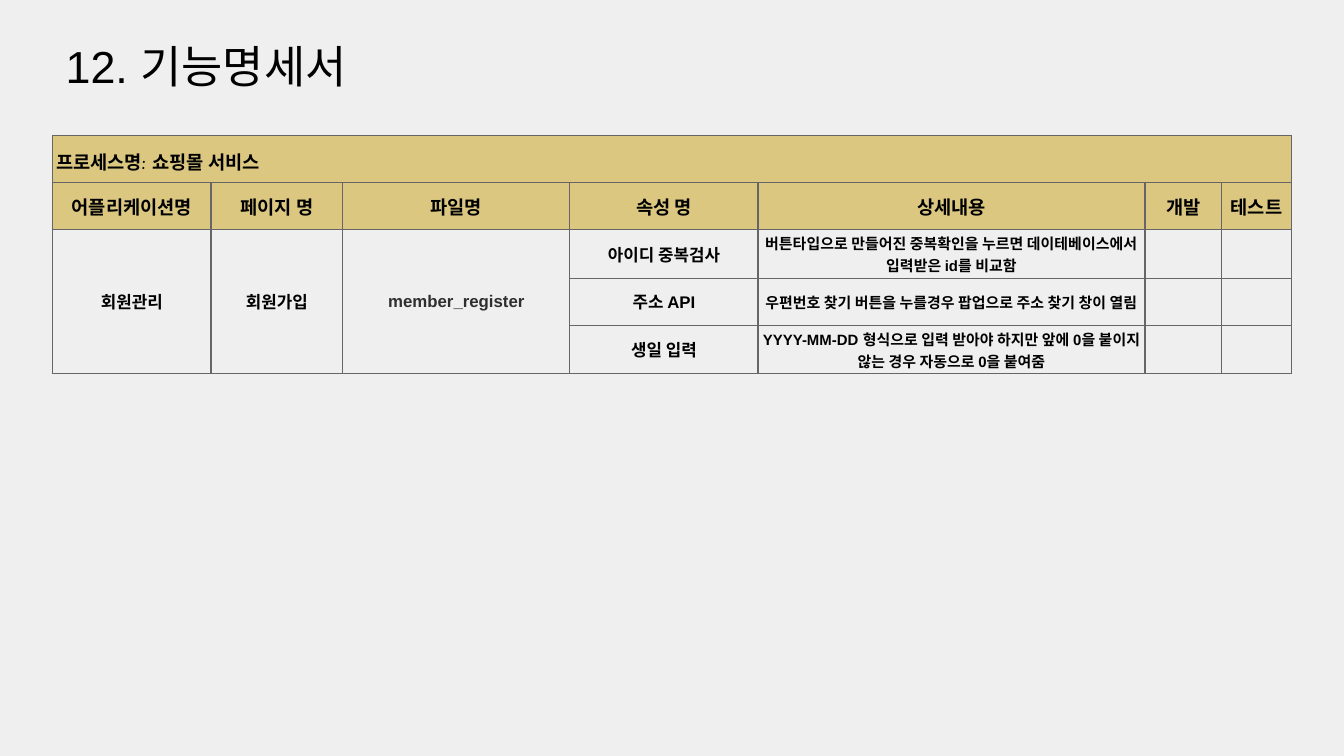
from lxml.etree import SubElement
from pptx import Presentation
from pptx.dml.color import RGBColor
from pptx.enum.text import MSO_ANCHOR, PP_ALIGN
from pptx.oxml.ns import qn
from pptx.util import Inches, Pt

# Content
TITLE = "12. 기능명세서"
BAND = "프로세스명: 쇼핑몰 서비스"
HEADS = ["어플리케이션명", "페이지 명", "파일명", "속성 명", "상세내용", "개발", "테스트"]
GROUP = ["회원관리", "회원가입", "member_register"]
ITEMS = [
    ("아이디 중복검사", "버튼타입으로 만들어진 중복확인을 누르면 데이테베이스에서 입력받은 id를 비교함"),
    ("주소 API", "우편번호 찾기 버튼을 누를경우 팝업으로 주소 찾기 창이 열림"),
    ("생일 입력", "YYYY-MM-DD 형식으로 입력 받아야 하지만 앞에 0을 붙이지 않는 경우 자동으로 0을 붙여줌"),
]

# Look
COLORS = {"page": "EFEFEF", "text": "000000", "file": "2F2F2F",
          "head": "D1B347", "line": "666666"}
WIDTHS = [1.18, 0.98, 1.69, 1.4, 2.88, 0.57, 0.52]
HEIGHTS = [0.35, 0.35, 0.36, 0.35, 0.36]
LEFT, TOP = 0.39, 1.01
DETAIL = HEADS.index("상세내용")
FILE = HEADS.index("파일명")


def color(name):
    return RGBColor.from_string(COLORS[name])


def style(para, size, face, tone="text", bold=True):
    font = para.font
    font.size, font.name, font.bold = Pt(size), face, bold
    font.color.rgb = color(tone)


def border(cell):
    props = cell._tc.get_or_add_tcPr()
    for side in ("lnL", "lnR", "lnT", "lnB"):
        line = SubElement(props, qn(f"a:{side}"), w=str(Pt(0.75)))
        fill = SubElement(line, qn("a:solidFill"))
        SubElement(fill, qn("a:srgbClr"), val=COLORS["line"])


def paint(cell, head):
    if not head:
        cell.fill.background()
        return
    cell.fill.solid()
    cell.fill.fore_color.rgb = color("head")
    tint = cell._tc.tcPr.find(f"{qn('a:solidFill')}/{qn('a:srgbClr')}")
    SubElement(tint, qn("a:alpha"), val="66000")


# Slide, 16:9
deck = Presentation()
deck.slide_width = Inches(10)
deck.slide_height = deck.slide_width * 9 // 16
slide = deck.slides.add_slide(deck.slide_layouts[6])
slide.background.fill.solid()
slide.background.fill.fore_color.rgb = color("page")

# Title
box = slide.shapes.add_textbox(Inches(LEFT), Inches(0.19), Inches(4.39), Inches(0.59))
frame = box.text_frame
frame.word_wrap = True
frame.margin_left = frame.margin_right = Inches(0.1)
frame.margin_top = frame.margin_bottom = Inches(0.1)
frame.text = TITLE
style(frame.paragraphs[0], 24, "Arial", bold=False)

# Table grid
rows = [[BAND], HEADS] + [GROUP + list(item) for item in ITEMS]
count = len(rows)
table = slide.shapes.add_table(count, len(HEADS), Inches(LEFT), Inches(TOP),
                               Inches(sum(WIDTHS)), Inches(sum(HEIGHTS))).table
table.first_row = table.horz_banding = False
for col, width in zip(table.columns, WIDTHS):
    col.width = Inches(width)
for row, height in zip(table.rows, HEIGHTS):
    row.height = Inches(height)

# Merged cells: the band on top, and the group beside its items
table.cell(0, 0).merge(table.cell(0, len(HEADS) - 1))
for c in range(len(GROUP)):
    table.cell(2, c).merge(table.cell(count - 1, c))

# Cells
for r, texts in enumerate(rows):
    head = r < 2
    for c in range(len(HEADS)):
        cell = table.cell(r, c)
        border(cell)
        paint(cell, head)
        cell.vertical_anchor = MSO_ANCHOR.MIDDLE
        cell.margin_left = cell.margin_right = Inches(0.03)
        cell.margin_top = cell.margin_bottom = Inches(0.02)
        if c < len(texts) and not cell.is_spanned:
            cell.text = texts[c]
        para = cell.text_frame.paragraphs[0]
        if r == 0:
            para.line_spacing = 1.15
        else:
            para.alignment = PP_ALIGN.CENTER
        if head:
            style(para, 10, "Comic Neue")
        else:
            style(para, 8 if c == DETAIL else 9, "Arial", "file" if c == FILE else "text")

deck.save("out.pptx")
